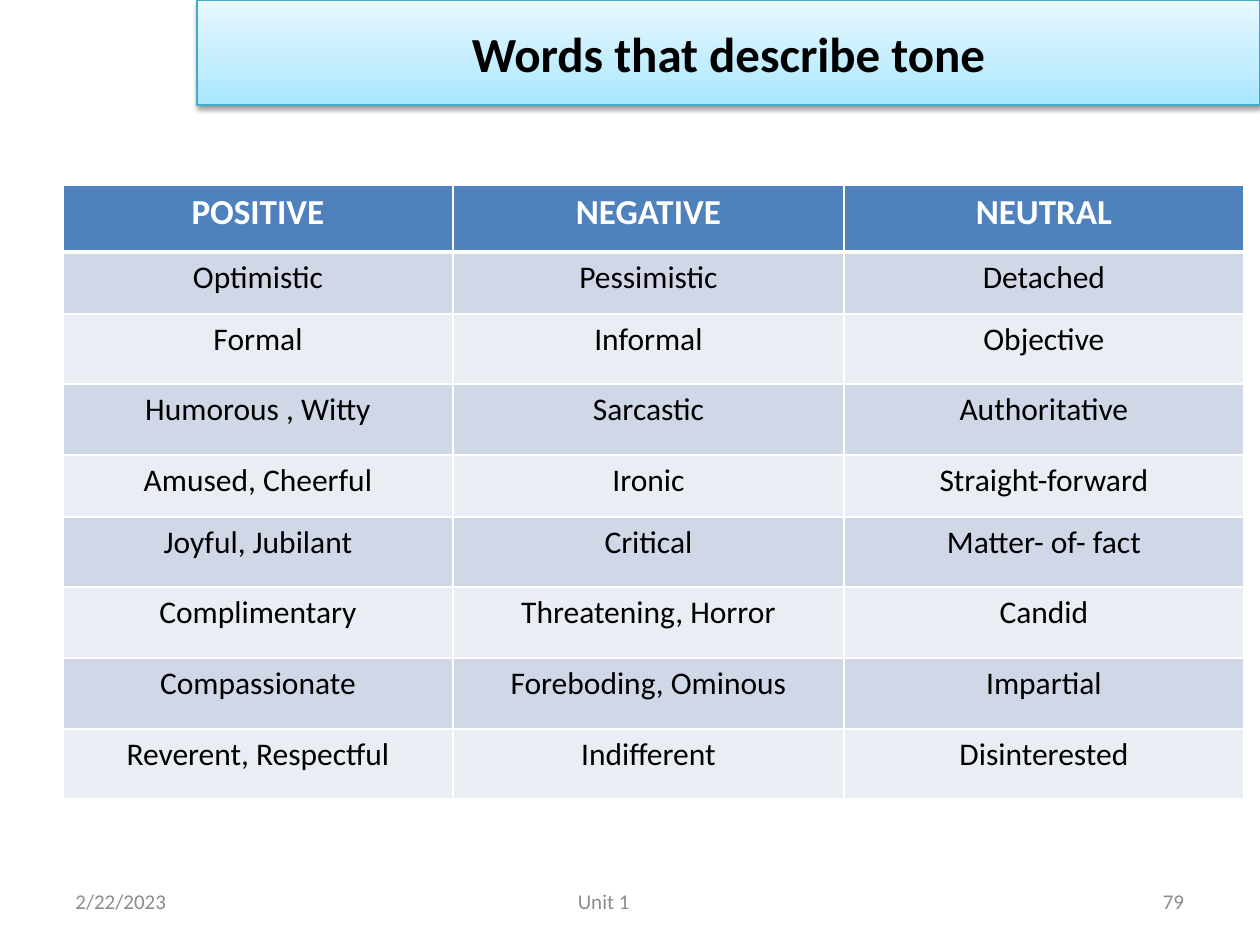
"""Build a slide with a table of words that describe tone."""
from copy import deepcopy

from lxml import etree
from pptx import Presentation, util as u
from pptx.dml.color import RGBColor
from pptx.enum import shapes, text
from pptx.oxml import parse_xml
from pptx.oxml.ns import nsdecls, qn

PX = 914400 / 126
COLORS = {
    "black": "000000", "white": "FFFFFF", "gray": "8C8C8C",
    "header": "4F81BD", "dark band": "D0D8E8", "light band": "E9EDF4",
    "banner line": "46AAC5",
}
BANNER_STOPS = [(0, "A7E6FF"), (0.35, "C1EDFF"), (1, "E7F8FF")]
COLUMN_WIDTHS = [390, 391, 400]
ROW_HEIGHTS = [67, 62, 70, 71, 62, 70, 71, 71, 70]
WORDS = [
    ["POSITIVE", "NEGATIVE", "NEUTRAL"],
    ["Optimistic", "Pessimistic", "Detached"],
    ["Formal", "Informal", "Objective"],
    ["Humorous , Witty", "Sarcastic", "Authoritative"],
    ["Amused, Cheerful", "Ironic", "Straight-forward"],
    ["Joyful, Jubilant", "Critical", "Matter- of- fact"],
    ["Complimentary", "Threatening, Horror", "Candid"],
    ["Compassionate", "Foreboding, Ominous", "Impartial"],
    ["Reverent, Respectful", "Indifferent", "Disinterested"],
]
LEFT, CENTER, RIGHT = text.PP_ALIGN.LEFT, text.PP_ALIGN.CENTER, text.PP_ALIGN.RIGHT


def px(*lengths):
    return [u.Emu(round(length * PX)) for length in lengths]


def write(text_frame, words, size, color, align=CENTER, bold=False):
    text_frame.text = words
    text_frame.word_wrap = True
    paragraph = text_frame.paragraphs[0]
    paragraph.alignment = align
    font = paragraph.runs[0].font
    font.name, font.size, font.bold = "Calibri", u.Pt(size), bold
    font.color.rgb = RGBColor.from_string(COLORS[color])


presentation = Presentation()
presentation.slide_width, presentation.slide_height = px(1260, 945)
slide = presentation.slides.add_slide(presentation.slide_layouts[6])

banner = slide.shapes.add_shape(shapes.MSO_SHAPE.RECTANGLE, *px(197, 0, 1063, 105))
banner.fill.gradient()
banner.fill.gradient_angle = 90
stop_list = banner.element.spPr.find(".//" + qn("a:gsLst"))
stop_list.insert(1, deepcopy(stop_list[0]))
for stop, (position, color) in zip(banner.fill.gradient_stops, BANNER_STOPS):
    stop.position = position
    stop.color.rgb = RGBColor.from_string(color)
banner.line.color.rgb = RGBColor.from_string(COLORS["banner line"])
banner.line.width = u.Pt(0.75)
banner.shadow.inherit = False
banner.element.spPr.find(qn("a:effectLst")).append(parse_xml(
    f'<a:outerShdw {nsdecls("a")} blurRad="40000" dist="20000" dir="5400000" rotWithShape="0">'
    f'<a:srgbClr val="{COLORS["black"]}"><a:alpha val="38000"/></a:srgbClr></a:outerShdw>'))
banner.text_frame.vertical_anchor = text.MSO_ANCHOR.MIDDLE
write(banner.text_frame, "Words that describe tone", 28, "black", bold=True)

table = slide.shapes.add_table(
    len(ROW_HEIGHTS), len(COLUMN_WIDTHS),
    *px(63, 185, sum(COLUMN_WIDTHS), sum(ROW_HEIGHTS))).table
for column, width in zip(table.columns, px(*COLUMN_WIDTHS)):
    column.width = width
for row_index, (row, height) in enumerate(zip(table.rows, px(*ROW_HEIGHTS))):
    row.height = height
    is_header = row_index == 0
    band = "header" if is_header else "dark band" if row_index % 2 else "light band"
    points = {"L": 1, "R": 1, "T": 3 if row_index == 1 else 1, "B": 3 if is_header else 1}
    for cell, words in zip(row.cells, WORDS[row_index]):
        write(cell.text_frame, words, 20 if is_header else 18,
              "white" if is_header else "black", bold=is_header)
        properties = cell._tc.get_or_add_tcPr()
        for side, width in points.items():
            border = etree.SubElement(properties, qn(f"a:ln{side}"), w=str(u.Pt(width)))
            solid = etree.SubElement(border, qn("a:solidFill"))
            etree.SubElement(solid, qn("a:srgbClr"), val=COLORS["white"])
        cell.fill.solid()
        cell.fill.fore_color.rgb = RGBColor.from_string(COLORS[band])

for left, width, right_inset, words, align in [
    (63, 294, 13, "2/22/2023", LEFT),
    (431, 399, 66, "Unit 1", CENTER),
    (903, 294, 13, "79", RIGHT),
]:
    footer = slide.shapes.add_textbox(*px(left, 876, width, 50)).text_frame
    footer.vertical_anchor = text.MSO_ANCHOR.MIDDLE
    footer.margin_right = px(right_inset)[0]
    write(footer, words, 12, "gray", align)

presentation.save("out.pptx")
